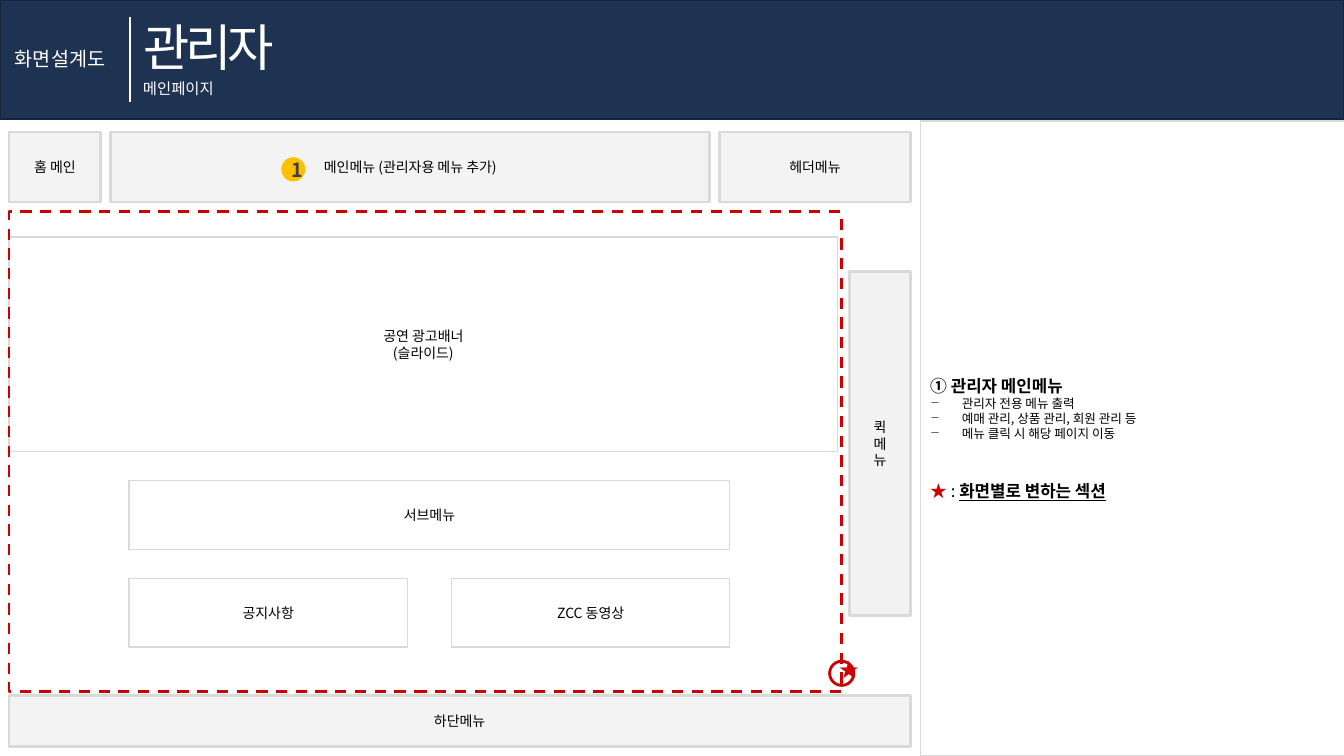
from dataclasses import dataclass

from lxml.etree import SubElement
from pptx import Presentation
from pptx.dml.color import RGBColor
from pptx.enum.dml import MSO_LINE
from pptx.enum.shapes import MSO_CONNECTOR, MSO_SHAPE as SHAPE
from pptx.enum.text import MSO_ANCHOR as ANCHOR, MSO_AUTO_SIZE as FIT, PP_ALIGN as ALIGN
from pptx.oxml.ns import qn
from pptx.util import Pt


@dataclass(frozen=True)
class Theme:
    font: str = "Noto Sans CJK KR"
    subtitle_font: str = "Arial"
    navy: str = "1E3252"
    navy_edge: str = "16253D"
    white: str = "FFFFFF"
    black: str = "000000"
    border: str = "D9D9D9"
    quick: str = "BFBFBF"
    red: str = "CC0000"
    amber: str = "FFC000"
    badge_text: str = "404040"
    title: int = 36
    label: int = 14
    heading: int = 12
    subtitle: int = 11
    box: int = 10
    note: int = 9
    leading: float = 1.2


T = Theme()


def rgb(value):
    return RGBColor.from_string(value)


def style_run(r, size, color=T.black, bold=False, font=T.font):
    r.font.size, r.font.bold, r.font.name = Pt(size), bold, font
    r.font.color.rgb = rgb(color)
    SubElement(r.font._element, qn("a:ea"), typeface=T.font)


def style_paragraph(p, size, align=ALIGN.LEFT, **run_style):
    p.alignment = align
    p.line_spacing = Pt(round(size * T.leading, 1))
    for r in p.runs:
        style_run(r, size, **run_style)


def set_text(sp, text, size, align=ALIGN.CENTER, anchor=ANCHOR.MIDDLE, **run_style):
    tf = sp.text_frame
    tf.word_wrap, tf.auto_size, tf.vertical_anchor = True, FIT.NONE, anchor
    tf.text = text
    for p in tf.paragraphs:
        style_paragraph(p, size, align, **run_style)


def add_shape(shapes, area, fill=None, line=None, width=1.0, opacity=None, kind=SHAPE.RECTANGLE):
    sp = shapes.add_shape(kind, *map(Pt, area))
    sp.shadow.inherit = False
    if fill:
        sp.fill.solid()
        sp.fill.fore_color.rgb = rgb(fill)
        if opacity:
            color = sp._element.spPr.find(qn("a:solidFill"))[0]
            SubElement(color, qn("a:alpha"), val=str(opacity * 1000))
    else:
        sp.fill.background()
    if line:
        sp.line.color.rgb = rgb(line)
        sp.line.width = Pt(width)
    else:
        sp.line.fill.background()
    return sp


def add_label(shapes, area, text, size, align=ALIGN.LEFT, **run_style):
    sp = shapes.add_textbox(*map(Pt, area))
    set_text(sp, text, size, align, ANCHOR.TOP, **run_style)


def add_content_box(shapes, area, text):
    set_text(add_shape(shapes, area, T.white, T.border), text, T.box)


def add_menu_box(shapes, area, text, fill=T.border, opacity=30):
    set_text(add_shape(shapes, area, fill, T.border, 2, opacity), text, T.box)


def add_header(slide):
    shapes = slide.shapes
    add_shape(shapes, (0, 0, 960, 85), T.navy, T.navy_edge)

    # The title sits in front of the band
    title = shapes.title
    shapes._spTree.append(title._element)
    title.left, title.top, title.width, title.height = map(Pt, (95, 8, 114.5, 51))
    set_text(title, "관리자", T.title, ALIGN.LEFT, ANCHOR.TOP, color=T.white)
    title.text_frame.paragraphs[0].runs[0].font._element.set("spc", "-300")

    add_label(shapes, (3.6, 30.2, 85, 24.5), "화면설계도", T.label, color=T.white)
    divider = shapes.add_connector(MSO_CONNECTOR.STRAIGHT, Pt(92.9), Pt(12.2), Pt(92.9), Pt(72.7))
    divider.line.color.rgb = rgb(T.white)
    divider.line.width = Pt(1.5)
    SubElement(divider._element.spPr, qn("a:effectLst"))
    add_label(shapes, (95, 53.3, 70, 21), "메인페이지", T.subtitle,
              color=T.white, font=T.subtitle_font)


def add_star_marker(shapes):
    marker = shapes.add_group_shape().shapes
    add_shape(marker, (592.6, 472.3, 17.3, 17.3), T.white, T.red, 2, kind=SHAPE.OVAL)
    add_label(marker, (592.6, 466.6, 17.3, 24.5), "★", T.label, ALIGN.CENTER, color=T.red)


def add_notes_panel(shapes, heading, notes, legend):
    sp = add_shape(shapes, (657.4, 86.4, 303.6, 453.6), T.white, T.border)
    set_text(sp, heading, T.heading, ALIGN.LEFT, bold=True)
    tf = sp.text_frame
    for note in notes:
        p = tf.add_paragraph()
        pPr = p._p.get_or_add_pPr()
        pPr.set("marL", str(Pt(22.5)))
        pPr.set("indent", str(-Pt(22.5)))
        SubElement(pPr, qn("a:buChar"), char="−")
        p.text = note
        style_paragraph(p, T.note)

    p = tf.add_paragraph()
    for text, color, bold, underline in legend:
        r = p.add_run()
        r.text = text
        style_run(r, T.heading, color, bold)
        r.font.underline = underline
    p.alignment = ALIGN.LEFT
    p.line_spacing = Pt(T.heading * T.leading)
    p.space_before = Pt(28.5)


def main():
    prs = Presentation()
    prs.slide_width, prs.slide_height = Pt(960), Pt(540)
    slide = prs.slides.add_slide(prs.slide_layouts[5])
    shapes = slide.shapes
    add_header(slide)

    # Page content
    add_content_box(shapes, (6.5, 169.2, 591.8, 153.4), "공연 광고배너\n(슬라이드)")
    add_content_box(shapes, (92.2, 343.4, 429.1, 49), "서브메뉴")
    for left, text in ((92.2, "공지사항"), (322.6, "ZCC 동영상")):
        add_content_box(shapes, (left, 413.3, 198.7, 49), text)

    # Shared menus
    for left, width, text in ((6.5, 65.5, "홈 메인"),
                              (79.2, 427.7, "메인메뉴 (관리자용 메뉴 추가)"),
                              (514.1, 136.1, "헤더메뉴")):
        add_menu_box(shapes, (left, 94.3, width, 50), text)
    add_menu_box(shapes, (607, 193.7, 43.2, 246.2), "퀵\n메\n뉴", T.quick, 20)
    add_menu_box(shapes, (6.5, 496.8, 643.7, 36.7), "하단메뉴")

    # Markers
    badge = add_shape(shapes, (200.9, 112.3, 17.3, 17.3), T.amber, kind=SHAPE.OVAL)
    set_text(badge, "1", T.label, color=T.badge_text, bold=True)
    add_star_marker(shapes)

    # Description panel
    add_notes_panel(
        shapes, "① 관리자 메인메뉴",
        ("관리자 전용 메뉴 출력", "예매 관리, 상품 관리, 회원 관리 등", "메뉴 클릭 시 해당 페이지 이동"),
        (("★ ", T.red, True, False), (": ", T.black, False, False),
         ("화면별로 변하는 섹션", T.black, True, True)))

    # Outline of the section that changes per screen
    section = add_shape(shapes, (6.5, 151.2, 594.7, 342.7), line=T.red, width=2)
    section.line.dash_style = MSO_LINE.DASH

    prs.save("out.pptx")


if __name__ == "__main__":
    main()
